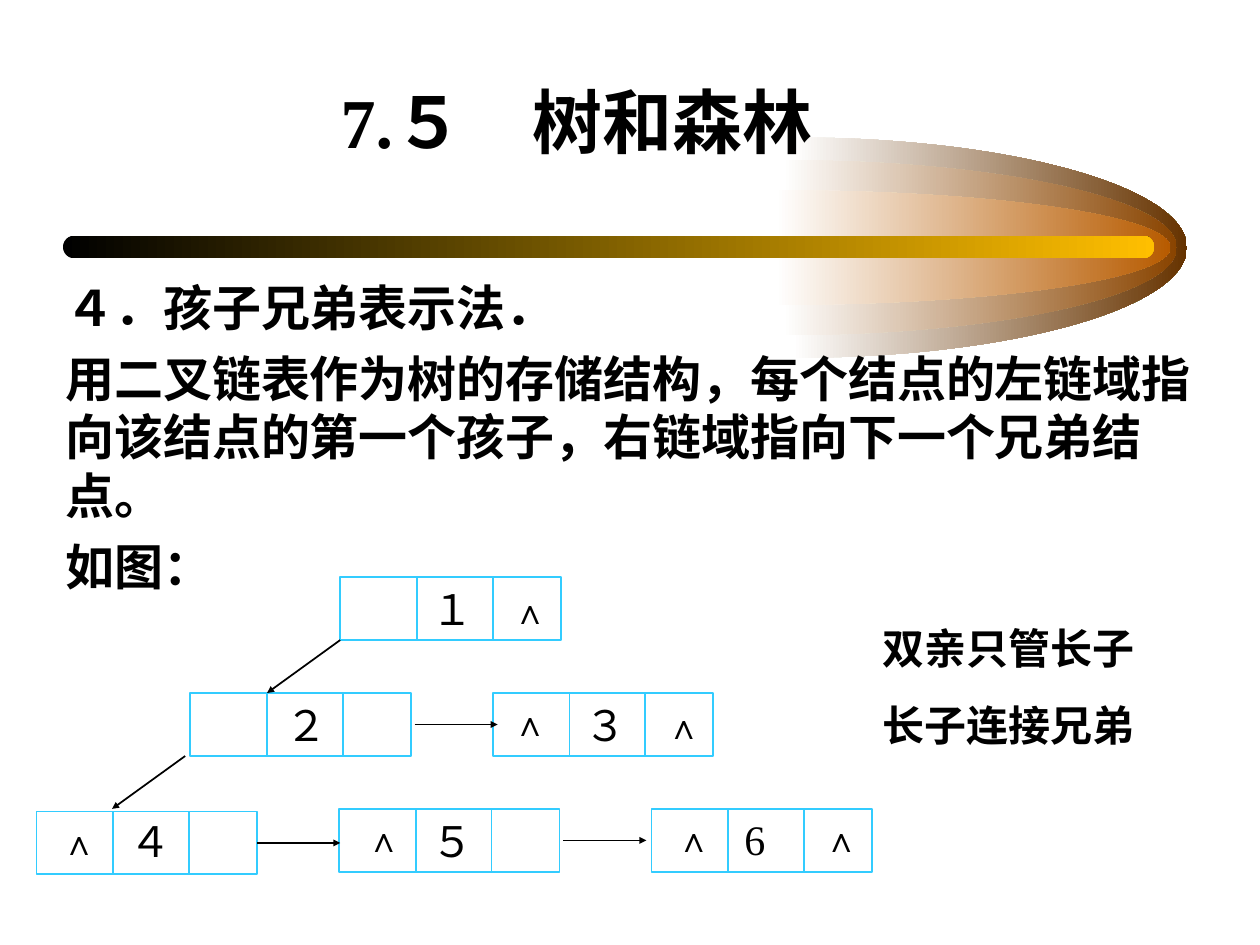
from lxml.etree import SubElement
from pptx import Presentation
from pptx.dml.color import RGBColor
from pptx.enum.shapes import MSO_CONNECTOR, MSO_SHAPE
from pptx.enum.text import MSO_ANCHOR
from pptx.oxml.ns import qn
from pptx.util import Inches, Pt

COLORS = {"text": "000000", "node": "33CCFF", "white": "FFFFFF", "gold": "FFBF00",
          "outer": "663300", "middle": "894400", "inner": "B75B00"}
LATIN, CJK = "Times New Roman", "Noto Sans CJK SC"

TITLE = ["　7.５　树和森林"]
BODY = [
    "４．孩子兄弟表示法．",
    "用二叉链表作为树的存储结构，每个结点的左链域指向该结点的第一个孩子，右链域指向下一个兄弟结点。",
    "如图：　",
]
MOTTO = ["双亲只管长子", "长子连接兄弟"]

# left, top, height, colour
COMET = [(6.29, 1.09, 1.75, "outer"), (6.21, 1.27, 1.39, "middle"), (6.16, 1.51, 0.91, "inner")]
COMET_LENGTH = 3.13
BEZIER_ARC = 0.55  # control point distance for a quarter ellipse

# label: node corner, label corner
NODES = {
    "１": ((2.7, 4.58), (3.33, 4.58)),
    "２": ((1.51, 5.5), (2.17, 5.5)),
    "３": ((3.91, 5.5), (4.54, 5.5)),
    "４": ((0.29, 6.44), (0.93, 6.42)),
    "５": ((2.69, 6.42), (3.33, 6.42)),
    "6": ((5.17, 6.42), (5.81, 6.41)),
}
NODE_W, NODE_H, DIVIDERS = 1.75, 0.5, (0.61, 1.21)
NIL = "∧"
NIL_CORNERS = [(3.97, 4.63), (3.97, 5.52), (5.19, 5.54), (0.39, 6.46),
               (2.81, 6.44), (5.27, 6.44), (6.44, 6.44)]

CHILD_STARTS, CHILD_STEP = [(2.7, 5.08), (1.47, 6)], (-0.58, 0.42)
# older sibling, gap between its right side and the arrow
SIBLING_GAPS, SIBLING_STEP = [("２", 0.03), ("４", 0), ("５", 0.03)], 0.66

prs = Presentation()
prs.slide_width, prs.slide_height = Inches(10), Inches(7.5)
slide = prs.slides.add_slide(prs.slide_layouts[6])
shapes = slide.shapes


def rgb(name):
    return RGBColor.from_string(COLORS[name])


def fade(shape, start, end):
    """Fill with a left-to-right gradient and no outline."""
    shape.shadow.inherit = False
    shape.line.fill.background()
    shape.fill.gradient()
    shape.fill.gradient_angle = 0
    for stop, name, position in zip(shape.fill.gradient_stops, (start, end), (0, 1)):
        stop.color.rgb = rgb(name)
        stop.position = position


def add_text(lines, left, top, width, height, size, before=0, bold=False,
             latin=LATIN, anchor=MSO_ANCHOR.TOP):
    frame = shapes.add_textbox(Inches(left), Inches(top), Inches(width), Inches(height)).text_frame
    frame.word_wrap = True
    frame.vertical_anchor = anchor
    frame.text = "\n".join(lines)
    for paragraph in frame.paragraphs:
        paragraph.space_before = Pt(before)
        font = paragraph.font
        font.name, font.size, font.bold = latin, Pt(size), bold
        font.color.rgb = rgb("text")
        properties = paragraph._p.pPr
        properties.set("hangingPunct", "0")
        SubElement(properties.find(qn("a:defRPr")), qn("a:ea")).set("typeface", CJK)


def add_line(x1, y1, x2, y2, color, arrow=False):
    line = shapes.add_connector(MSO_CONNECTOR.STRAIGHT, Inches(x1), Inches(y1),
                                Inches(x2), Inches(y2))
    line.line.color.rgb = rgb(color)
    line.line.width = Pt(1)
    if arrow:
        head = SubElement(line.line._get_or_add_ln(), qn("a:tailEnd"))
        for key, value in (("type", "triangle"), ("w", "sm"), ("len", "sm")):
            head.set(key, value)
    SubElement(line._element.spPr, qn("a:effectLst"))
    return line


def add_half_ellipse(left, top, height, color):
    """Draw the right half of an ellipse as two Bezier quarters."""
    radius = height / 2
    units = [(0, -1), (BEZIER_ARC, -1), (1, -BEZIER_ARC), (1, 0),
             (1, BEZIER_ARC), (BEZIER_ARC, 1), (0, 1)]
    points = [(Inches(left + COMET_LENGTH * x), Inches(top + radius + radius * y))
              for x, y in units]
    builder = shapes.build_freeform(*points[0])
    builder.add_line_segments(points[1:], close=True)
    half = builder.convert_to_shape()
    segments = list(half._element.iter(qn("a:lnTo")))
    for first in (0, 3):
        quarter = segments[first:first + 3]
        curve = quarter[0].makeelement(qn("a:cubicBezTo"))
        quarter[0].addprevious(curve)
        for segment in quarter:
            curve.append(segment[0])
            segment.getparent().remove(segment)
    fade(half, "white", color)


def add_node(left, top):
    box = shapes.add_shape(MSO_SHAPE.RECTANGLE, Inches(left), Inches(top),
                           Inches(NODE_W), Inches(NODE_H))
    box.shadow.inherit = False
    box.fill.background()
    box.line.color.rgb = rgb("node")
    box.line.width = Pt(1)
    for offset in DIVIDERS:
        add_line(left + offset, top, left + offset, top + NODE_H, "node")
    return box


for layer in COMET:
    add_half_ellipse(*layer)
bar = shapes.add_shape(MSO_SHAPE.ROUNDED_RECTANGLE, Inches(0.5), Inches(1.87),
                       Inches(8.66), Inches(0.18))
bar.adjustments[0] = 0.5
fade(bar, "text", "gold")

add_text(TITLE, 2.05, 0.59, 6.13, 0.75, 40, bold=True, anchor=MSO_ANCHOR.BOTTOM)
add_text(BODY, 0.42, 2.15, 9.42, 2.26, 28, 7, bold=True, latin=CJK)
add_text(MOTTO, 6.91, 4.89, 2.33, 1.11, 24, 15, bold=True)

boxes = {}
for label, (corner, label_corner) in NODES.items():
    boxes[label] = add_node(*corner)
    add_text([label], *label_corner, 0.42, 0.5, 24, 15)
for corner in NIL_CORNERS:
    add_text([NIL], *corner, 0.42, 0.44, 20, 12.5)

for x, y in CHILD_STARTS:
    add_line(x, y, x + CHILD_STEP[0], y + CHILD_STEP[1], "text", arrow=True)
for older, gap in SIBLING_GAPS:
    left, top = NODES[older][0]
    x, y = left + NODE_W + gap, top + NODE_H / 2
    link = add_line(x, y, x + SIBLING_STEP, y, "text", arrow=True)
    if not gap:
        link.begin_connect(boxes[older], 3)

prs.save("out.pptx")
